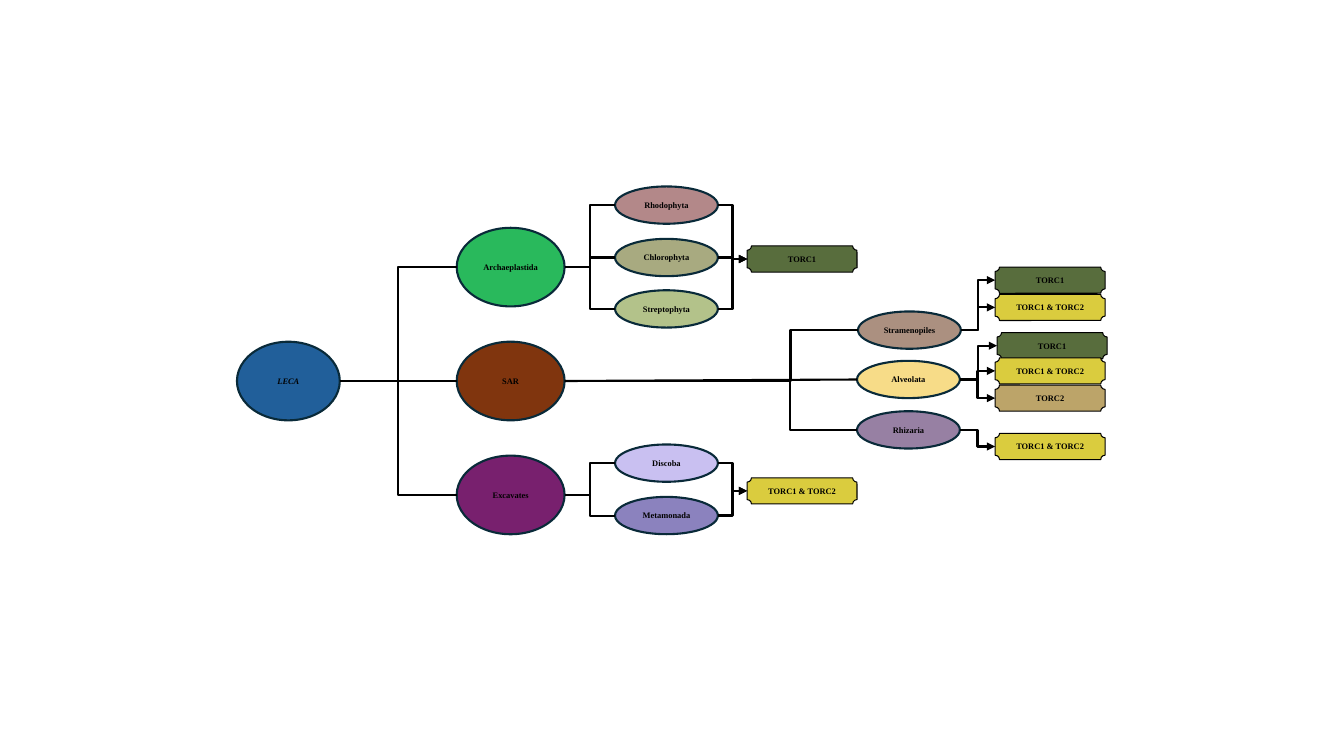
from lxml import etree
from pptx import Presentation
from pptx.dml.color import RGBColor
from pptx.enum.shapes import MSO_CONNECTOR, MSO_SHAPE
from pptx.enum.text import MSO_ANCHOR, PP_ALIGN
from pptx.oxml.ns import qn
from pptx.util import Inches, Pt

OVAL, PLAQUE = MSO_SHAPE.OVAL, MSO_SHAPE.PLAQUE
ELBOW, STRAIGHT = MSO_CONNECTOR.ELBOW, MSO_CONNECTOR.STRAIGHT
MIDDLE, CENTER = MSO_ANCHOR.MIDDLE, PP_ALIGN.CENTER

prs = Presentation()
prs.slide_width, prs.slide_height = Inches(13.33), Inches(7.5)
slide = prs.slides.add_slide(prs.slide_layouts[6])
rgb = RGBColor.from_string


def add_node(kind, label, box, fill, edge, weight):
    """Draw a labelled shape; box is left, top, width, height in inches."""
    node = slide.shapes.add_shape(kind, *map(Inches, box))
    node.shadow.inherit = False
    node.fill.solid()
    node.fill.fore_color.rgb = rgb(fill)
    node.line.color.rgb = rgb(edge)
    node.line.width = Pt(weight)
    frame = node.text_frame
    layout = {"margin_left": 0, "margin_right": 0, "margin_top": 0,
              "margin_bottom": 0, "word_wrap": True, "vertical_anchor": MIDDLE}
    for key, value in layout.items():
        setattr(frame, key, value)
    para = frame.paragraphs[0]
    para.alignment = CENTER
    run = para.add_run()
    run.text = label
    style = {"name": "Times New Roman", "size": Pt(6), "bold": True,
             "italic": label == "LECA"}
    for key, value in style.items():
        setattr(run.font, key, value)
    run.font.color.rgb = rgb("000000")
    return node


def add_link(start, end, kind=ELBOW, bend=0.5, arrow=False):
    """Join the right side of start to the left side of end."""
    link = slide.shapes.add_connector(
        kind, start.left + start.width, start.top + start.height // 2,
        end.left, end.top + end.height // 2)
    link.line.color.rgb = rgb("000000")
    link.line.width = Pt(1.5)
    props = link._element.spPr
    if bend != 0.5:
        guides = props.find(qn("a:prstGeom")).find(qn("a:avLst"))
        etree.SubElement(guides, qn("a:gd"), name="adj1",
                         fmla=f"val {round(bend * 100000)}")
    if arrow:
        etree.SubElement(props.find(qn("a:ln")), qn("a:tailEnd"), type="triangle")
    etree.SubElement(props, qn("a:effectLst"))


# Clades: label, left, top, width, height, fill
BIG, SMALL = 0.78, 0.37
CLADES = [
    ("LECA", 2.35, 3.39, 1.02, BIG, "215F9A"),
    ("Archaeplastida", 4.53, 2.26, 1.07, BIG, "29B95C"),
    ("SAR", 4.53, 3.39, 1.07, BIG, "80350E"),
    ("Excavates", 4.53, 4.52, 1.07, BIG, "78206E"),
    ("Rhodophyta", 6.1, 1.85, 1.02, SMALL, "B38889"),
    ("Chlorophyta", 6.1, 2.37, 1.02, SMALL, "A8AA80"),
    ("Streptophyta", 6.1, 2.88, 1.02, SMALL, "B3C28A"),
    ("Discoba", 6.1, 4.41, 1.02, SMALL, "C9C0F1"),
    ("Metamonada", 6.1, 4.93, 1.02, SMALL, "8B82BE"),
    ("Stramenopiles", 8.51, 3.09, 1.02, SMALL, "AB9080"),
    ("Alveolata", 8.5, 3.58, 1.02, SMALL, "F7DC88"),
    ("Rhizaria", 8.5, 4.08, 1.02, SMALL, "9780A3"),
]
nodes = {}
for label, *box, fill in CLADES:
    nodes[label] = add_node(OVAL, label, box, fill, "092A39", 1.5)

# Branches: parent, children, bend
BRANCHES = [
    ("LECA", ["Archaeplastida", "SAR", "Excavates"], 0.5),
    ("Archaeplastida", ["Rhodophyta", "Chlorophyta", "Streptophyta"], 0.5),
    ("Excavates", ["Discoba", "Metamonada"], 0.5),
    ("SAR", ["Stramenopiles", "Rhizaria"], 0.77),
]
for parent, children, bend in BRANCHES:
    for child in children:
        add_link(nodes[parent], nodes[child], bend=bend)
add_link(nodes["SAR"], nodes["Alveolata"], STRAIGHT)

# Complexes: label, left, top, clades that have it
FILLS = {"TORC1": "586D3D", "TORC1 & TORC2": "DACC3E", "TORC2": "BCA469"}
PLAQUES = [
    ("TORC1", 7.41, 2.44, ["Rhodophyta", "Chlorophyta", "Streptophyta"]),
    ("TORC1 & TORC2", 7.41, 4.74, ["Discoba", "Metamonada"]),
    ("TORC1", 9.87, 2.65, ["Stramenopiles"]),
    ("TORC1 & TORC2", 9.87, 2.92, ["Stramenopiles"]),
    ("TORC1", 9.89, 3.3, ["Alveolata"]),
    ("TORC1 & TORC2", 9.87, 3.55, ["Alveolata"]),
    ("TORC2", 9.87, 3.82, ["Alveolata"]),
    ("TORC1 & TORC2", 9.87, 4.3, ["Rhizaria"]),
]
for label, left, top, owners in PLAQUES:
    plaque = add_node(PLAQUE, label, (left, top, 1.09, 0.26),
                      FILLS[label], "000000", 0.75)
    for owner in owners:
        add_link(nodes[owner], plaque, arrow=True)

prs.save("out.pptx")
